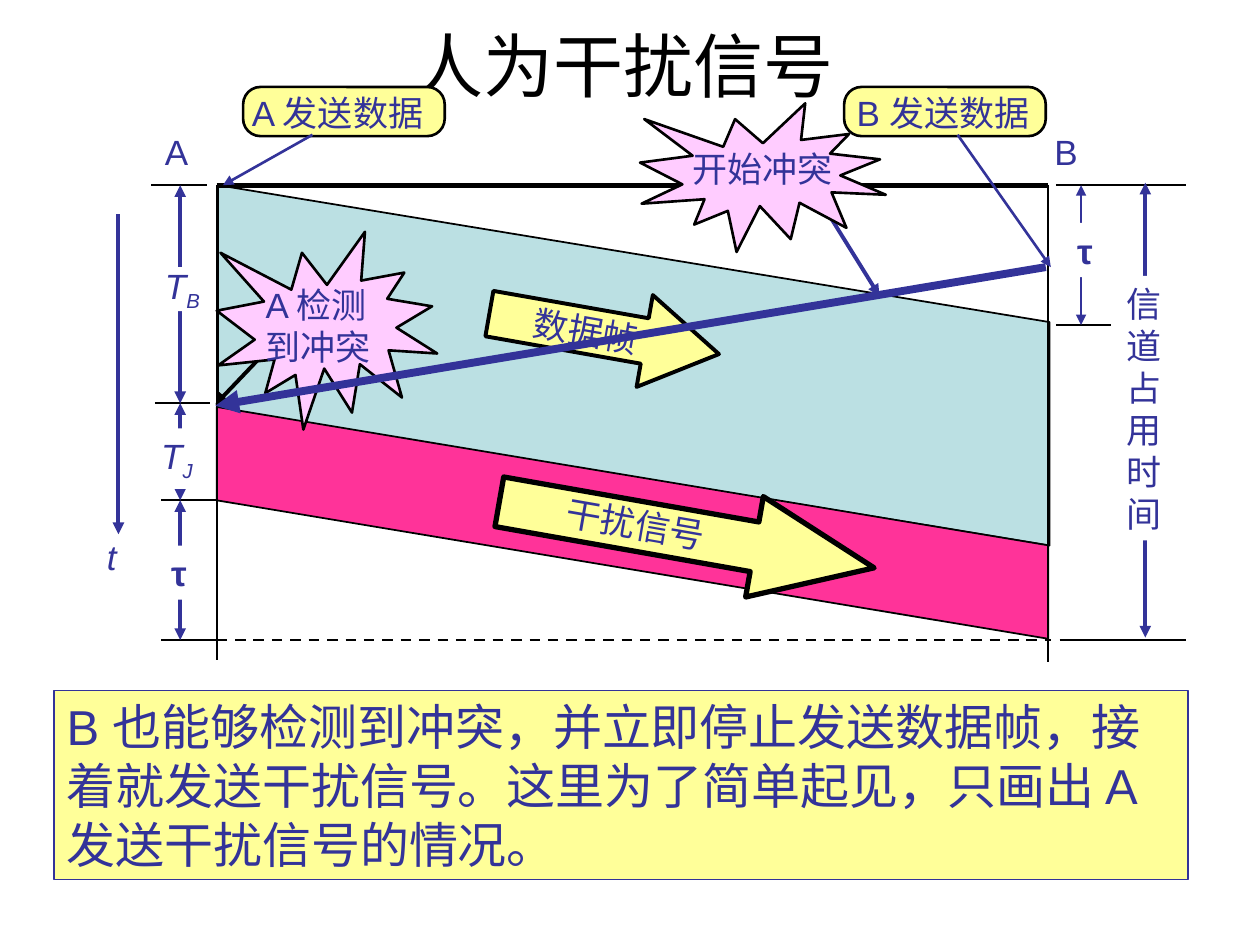
import pptx
import pptx.util
import pptx.dml.color
import pptx.enum.dml
import pptx.enum.shapes
import pptx.enum.text
import pptx.oxml.ns
import lxml.etree

KIND = pptx.enum.shapes.MSO_SHAPE
ALIGN = pptx.enum.text.PP_ALIGN
ANCHOR = pptx.enum.text.MSO_ANCHOR
FIT = pptx.enum.text.MSO_AUTO_SIZE
INK, BLACK, WHITE = "333399", "000000", "FFFFFF"
YELLOW, PINK = "FFFF99", "FFCCFF"

# Time axis rows and station columns, in inches
TOP, LATE, HIT, JAM, END = 1.47, 2.58, 3.2, 3.97, 5.08
A, B = 1.72, 8.32
DIM, EDGE = 1.43, 9.41

# kind, box, turn, adjustments, fill, line width
BANDS = [
    (KIND.PARALLELOGRAM, (3.6, -0.4, 2.86, 6.6), 90, [0.38], "BBE0E3", 1),
    (KIND.PARALLELOGRAM, (4.1, 0.85, 1.84, 6.6), 90, [0.597], "FF3399", 1),
    (KIND.RIGHT_ARROW, (3.94, 3.84, 3.02, 0.81), 10, [0.494, 1.19], YELLOW, 3),
]
FRAME = (KIND.RIGHT_ARROW, (3.87, 2.28, 1.85, 0.74), 10, [0.494, 0.808],
         YELLOW, 2.25)

# x1, y1, x2, y2, width
RULES = [
    (A, TOP, B, TOP, 3),
    (A, TOP, A, 5.24, 1),
    (B, TOP, B, 5.25, 1),
    (8.38, TOP, EDGE, TOP, 1),
    (8.38, LATE, 8.82, LATE, 1),
    (8.41, END, EDGE, END, 1),
    (1.2, TOP, 1.64, TOP, 1),
    (1.23, HIT, 1.67, HIT, 1),
    (1.28, JAM, A, JAM, 1),
    (1.28, END, A, END, 1),
]
SPANS = [
    (DIM, TOP, DIM, HIT, 2.25),
    (DIM, HIT, DIM, JAM, 2.25),
    (DIM, JAM, DIM, END, 2.25),
    (8.58, TOP, 8.58, LATE, 1.5),
    (9.09, 1.45, 9.09, 5.06, 2.25),
]

# box, fill, lines of (text, style) runs
LABELS = [
    ((1.21, 0.99, 0.38, 0.43), None, [[("A", "")]]),
    ((8.27, 0.99, 0.38, 0.43), None, [[("B", "")]]),
    ((1.21, 2.05, 0.48, 0.48), None, [[("T", "i"), ("B", "i sub")]]),
    ((1.18, 3.4, 0.45, 0.48), WHITE, [[("T", "i"), ("J", "i sub")]]),
    ((1.26, 4.33, 0.32, 0.43), WHITE, [[("τ", "b")]]),
    ((8.45, 1.77, 0.32, 0.43), WHITE, [[("τ", "b")]]),
    ((0.75, 4.2, 0.27, 0.44), None, [[("t", "i")]]),
    ((8.84, 2.19, 0.48, 2.1), WHITE, [[(c, "")] for c in "信道占用时间"]),
]

# kind, box, fill, text box, lines, pointer, pointer colour, pointer width
CALLS = [
    (KIND.ROUNDED_RECTANGLE, (6.7, 0.69, 1.6, 0.39), YELLOW,
     (6.7, 0.68, 1.64, 0.44), ["B 发送数据"],
     (7.6, 1.07, 8.34, 2.12), INK, 1.5),
    (KIND.EXPLOSION1, (1.72, 1.84, 1.75, 1.57), PINK,
     (2.01, 2.2, 1.08, 0.77), ["A 检测", "到冲突"],
     (2.31, 2.58, 1.71, 3.21), BLACK, 2.25),
    (KIND.EXPLOSION1, (5.08, 0.82, 1.95, 1.18), PINK,
     (5.4, 1.12, 1.31, 0.44), ["开始冲突"],
     (6.57, 1.69, 6.98, 2.35), INK, 2.25),
    (KIND.ROUNDED_RECTANGLE, (1.93, 0.69, 1.6, 0.39), YELLOW,
     (1.9, 0.68, 1.64, 0.44), ["A 发送数据"],
     (2.48, 1.07, 1.77, 1.47), INK, 1.5),
]
NOTE = ("B 也能够检测到冲突，并立即停止发送数据帧，接着就发送干扰信号。"
        "这里为了简单起见，只画出 A 发送干扰信号的情况。")

deck = pptx.Presentation()
deck.slide_width = pptx.util.Inches(10)
deck.slide_height = pptx.util.Inches(7.5)
shapes = deck.slides.add_slide(deck.slide_layouts[6]).shapes


def inch(vals):
    return [pptx.util.Inches(v) for v in vals]


def rgb(code):
    return pptx.dml.color.RGBColor.from_string(code)


def paint(item, code):
    item.fill.solid()
    item.fill.fore_color.rgb = rgb(code)


def block(kind, box, turn, adj, fill, width, edge=BLACK):
    item = shapes.add_shape(kind, *inch(box))
    item.shadow.inherit = False
    item.rotation = turn
    for i, val in enumerate(adj):
        item.adjustments[i] = val
    paint(item, fill)
    if width:
        item.line.color.rgb = rgb(edge)
        item.line.width = pptx.util.Pt(width)
    else:
        item.line.fill.background()
    return item


def line(x1, y1, x2, y2, width, code=BLACK, ends=(), dash=False):
    item = shapes.add_connector(pptx.enum.shapes.MSO_CONNECTOR.STRAIGHT,
                                *inch((x1, y1, x2, y2)))
    item.line.color.rgb = rgb(code)
    item.line.width = pptx.util.Pt(width)
    if dash:
        item.line.dash_style = pptx.enum.dml.MSO_LINE.DASH
    qn, sub = pptx.oxml.ns.qn, lxml.etree.SubElement
    for end in ends:
        sub(item.line._get_or_add_ln(), qn("a:" + end), type="triangle")
    sub(item._element.spPr, qn("a:effectLst"))


def write(item, lines, size=20, code=INK, align=ALIGN.LEFT,
          anchor=ANCHOR.TOP, wrap=False, fit=FIT.SHAPE_TO_FIT_TEXT):
    frame = item.text_frame
    frame.word_wrap = wrap
    frame.auto_size = fit
    frame.vertical_anchor = anchor
    for i, runs in enumerate(lines):
        para = frame.add_paragraph() if i else frame.paragraphs[0]
        para.alignment = align
        for text, style in runs:
            run = para.add_run()
            run.text = text
            font = run.font
            font.name = "Arial"
            font.size = pptx.util.Pt(size)
            font.color.rgb = rgb(code)
            font.bold = "b" in style.split()
            font.italic = "i" in style.split()
            if "sub" in style:
                font._element.set("baseline", "-25000")


def label(box, lines, fill=None, turn=0, **look):
    item = shapes.add_textbox(*inch(box))
    item.rotation = turn
    if fill:
        paint(item, fill)
    write(item, lines, **look)


for band in BANDS:
    block(*band)
write(block(*FRAME), [[("数据帧", "")]], align=ALIGN.CENTER,
      anchor=ANCHOR.MIDDLE, fit=FIT.NONE)
label((4.39, 3.94, 1.31, 0.44), [[("干扰信号", "")]], turn=9.9)
label((0.75, 0.13, 8.52, 0.76), [[("人为干扰信号 ", "")]], size=40, code=BLACK,
      align=ALIGN.CENTER, anchor=ANCHOR.MIDDLE, wrap=True, fit=FIT.NONE)

for rule in RULES:
    line(*rule)
line(A, END, 8.34, END, 1.5, dash=True)
for span in SPANS:
    line(*span, INK, ("headEnd", "tailEnd"))
line(0.94, 1.7, 0.94, 4.24, 2.25, INK, ("tailEnd",))

block(KIND.RECTANGLE, (1.27, 2.12, 0.37, 0.35), 0, [], WHITE, 0)
for box, fill, lines in LABELS:
    label(box, lines, fill)

for kind, box, fill, spot, lines, way, code, width in CALLS:
    burst = kind == KIND.EXPLOSION1
    if burst:
        line(*way, width, code, ("tailEnd",))
    block(kind, box, 0, [] if burst else [0.354], fill, 1.5)
    label(spot, [[(text, "")] for text in lines])
    if not burst:
        line(*way, width, code, ("tailEnd",))

line(8.3, 2.12, 1.71, 3.22, 4.5, INK, ("tailEnd",))
write(block(KIND.RECTANGLE, (0.43, 5.48, 9, 1.5), 0, [], YELLOW, 0.75, INK),
      [[(NOTE, "")]], size=28, wrap=True)

deck.save("out.pptx")
